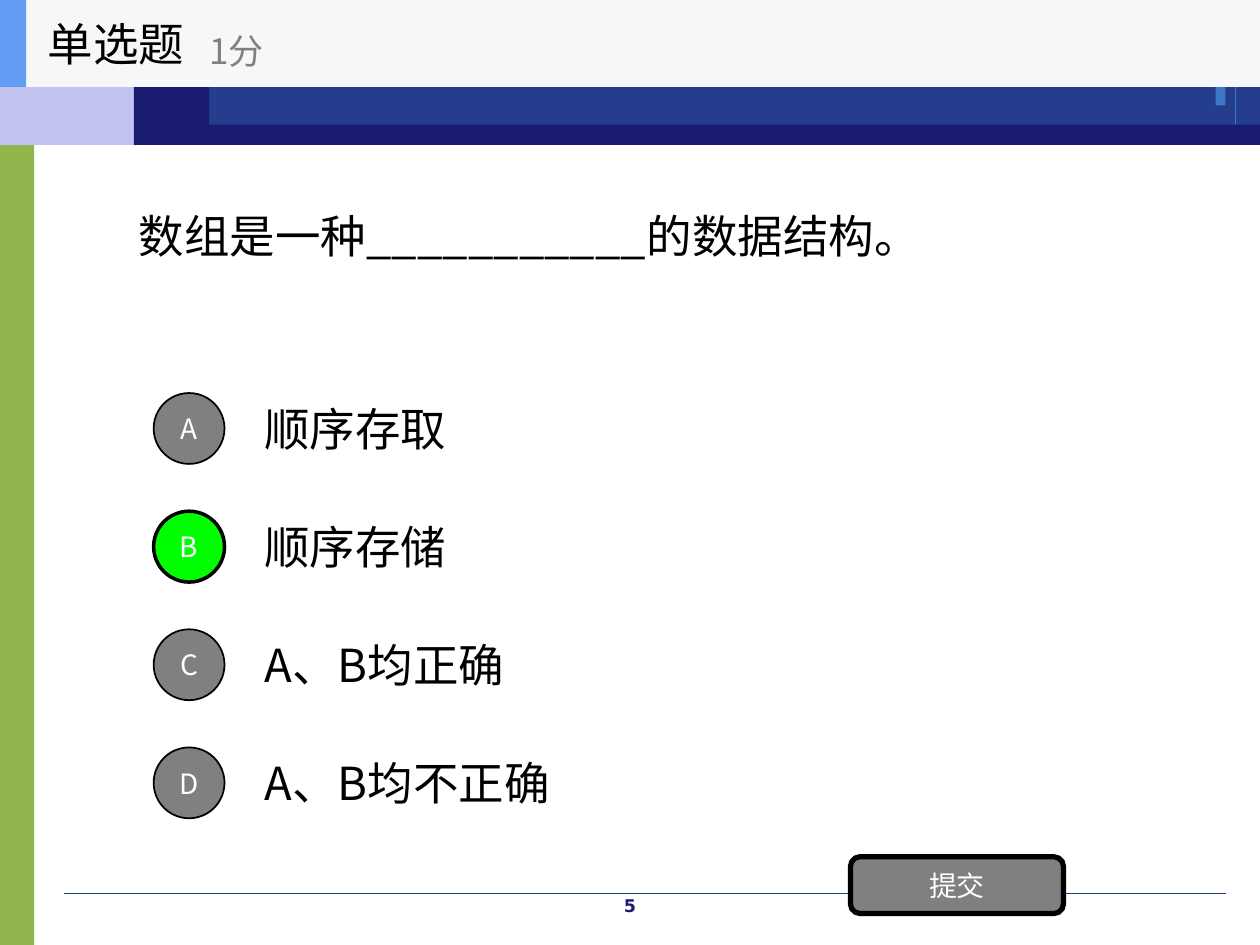
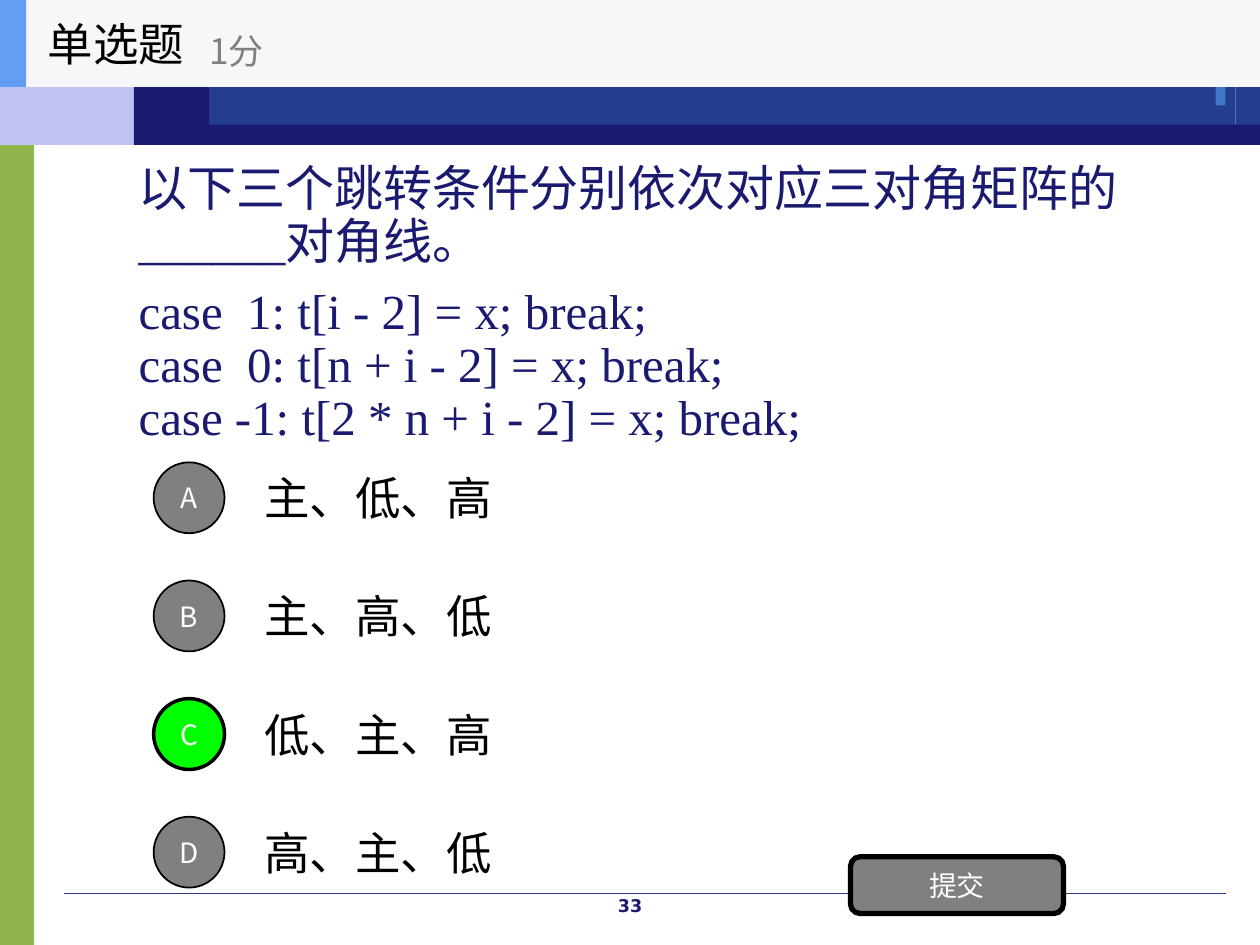
from dataclasses import dataclass
from typing import Any, Optional

import lxml.etree
import pptx
import pptx.dml.color
import pptx.enum.shapes
import pptx.enum.text
import pptx.oxml.ns
import pptx.util

Pt = pptx.util.Pt
Kind = pptx.enum.shapes.MSO_SHAPE
Align = pptx.enum.text.PP_ALIGN
qn = pptx.oxml.ns.qn


@dataclass(frozen=True)
class Theme:
    black: str = "000000"
    white: str = "FFFFFF"
    gray: str = "808080"
    right: str = "00FF00"
    green: str = "90B54D"
    lilac: str = "C3C3F1"
    blue: str = "243D8C"
    sky: str = "3E78C6"
    navy: str = "1A1A70"
    pale: str = "F6F7F8"
    bright: str = "639EF4"
    sans: str = "Noto Sans CJK SC"
    serif: str = "Times New Roman"
    page: str = "DejaVu Sans"
    code: float = 28
    main: float = 26
    score: float = 20
    label: float = 16
    foot: float = 10
    hair: float = 0.25


THEME = Theme()


@dataclass(frozen=True)
class Box:
    left: float
    top: float
    width: float
    height: float

    def place(self) -> tuple:
        return Pt(self.left), Pt(self.top), Pt(self.width), Pt(self.height)


@dataclass(frozen=True)
class Band:
    box: Box
    fill: Optional[str] = None
    line: Optional[str] = None
    weight: float = THEME.hair
    kind: Any = Kind.RECTANGLE


@dataclass(frozen=True)
class Style:
    size: float
    color: str
    font: str = THEME.sans
    bold: bool = False
    align: Any = Align.LEFT
    wrap: bool = True
    top: bool = False
    leading: float = 1.0


@dataclass(frozen=True)
class Quiz:
    page: int
    lines: tuple[str, ...]
    style: Style
    top: float
    first: float
    picks: tuple[str, ...]
    answer: str


MAIN = Style(THEME.main, THEME.black)
CODE = Style(THEME.code, THEME.navy, THEME.serif, leading=0.9)
SCORE = Style(THEME.score, THEME.gray)
LABEL = Style(THEME.label, THEME.white, align=Align.CENTER, wrap=False)
FOOT = Style(THEME.foot, THEME.navy, THEME.page, bold=True, align=Align.CENTER, top=True)

STEP = 67.5
CODE_GAP = 10

# Drawn from back to front
BANDS = (
    Band(Box(0, 77, 19.5, 463), THEME.green),
    Band(Box(0, 0, 110, 82.8), THEME.lilac),
    Band(Box(110, 0, 610, 82.8), THEME.blue),
    Band(Box(694.6, 0, 5.6, 60.3), THEME.sky),
    Band(Box(85.7, 10.8, 620.4, 61), line=THEME.sky),
)
EDGES = (
    Band(Box(93.6, 71.3, 626.4, 11.5), THEME.navy),
    Band(Box(76.5, 0, 43, 82.8), THEME.navy),
)
HEADER = (
    Band(Box(0, 0, 720, 49.7), THEME.pale),
    Band(Box(0, 0, 15, 49.7), THEME.bright),
)

QUIZZES = (
    Quiz(5, ("数组是一种___________的数据结构。",), MAIN, 50, 219.6,
         ("顺序存取", "顺序存储", "A、B均正确", "A、B均不正确"), "B"),
    Quiz(33, ("以下三个跳转条件分别依次对应三对角矩阵的______对角线。",
              "case  1: t[i - 2] = x; break;",
              "case  0: t[n + i - 2] = x; break;",
              "case -1: t[2 * n + i - 2] = x; break;"), CODE, 90, 259.2,
         ("主、低、高", "主、高、低", "低、主、高", "高、主、低"), "C"),
)


def rgb(code: str) -> Any:
    return pptx.dml.color.RGBColor.from_string(code)


def write(shape: Any, text: str, style: Style) -> None:
    frame = shape.text_frame
    frame.text = text
    frame.word_wrap = style.wrap
    frame.auto_size = pptx.enum.text.MSO_AUTO_SIZE.NONE
    anchor = pptx.enum.text.MSO_ANCHOR
    frame.vertical_anchor = anchor.TOP if style.top else anchor.MIDDLE
    for para in frame.paragraphs:
        para.alignment = style.align
        para.line_spacing = style.leading
        para.space_before = Pt(0)
        for run in para.runs:
            font = run.font
            font.name, font.size, font.bold = style.font, Pt(style.size), style.bold
            font.color.rgb = rgb(style.color)
    for props in shape.element.iter(qn("a:rPr")):
        lxml.etree.SubElement(props, qn("a:ea")).set("typeface", THEME.sans)


def label(slide: Any, box: Box, text: str, style: Style) -> None:
    write(slide.shapes.add_textbox(*box.place()), text, style)


def draw(slide: Any, band: Band) -> Any:
    shape = slide.shapes.add_shape(band.kind, *band.box.place())
    shape.shadow.inherit = False
    if band.fill:
        shape.fill.solid()
        shape.fill.fore_color.rgb = rgb(band.fill)
    else:
        shape.fill.background()
    if band.line:
        shape.line.color.rgb = rgb(band.line)
        shape.line.width = Pt(band.weight)
    else:
        shape.line.fill.background()
    return shape


def settle(holder: Any, box: Box) -> None:
    """Move a placeholder to its box and in front of what is drawn so far."""
    holder.left, holder.top, holder.width, holder.height = box.place()
    holder.element.getparent().append(holder.element)


def frame(slide: Any, page: int) -> None:
    """Draw the bands, the foot rule and the page number."""
    for band in BANDS:
        draw(slide, band)
    rule = slide.shapes.add_connector(
        pptx.enum.shapes.MSO_CONNECTOR.STRAIGHT, Pt(36.7), Pt(510.5), Pt(700.6), Pt(510.5))
    rule.line.color.rgb = rgb(THEME.blue)
    rule.line.width = Pt(THEME.hair)
    lxml.etree.SubElement(rule.element.spPr, qn("a:effectLst"))
    for band in EDGES:
        draw(slide, band)
    label(slide, Box(276, 507.6, 168, 18), str(page), FOOT)


def ask(slide: Any, quiz: Quiz) -> None:
    body = slide.placeholders[1]
    settle(body, Box(72, quiz.top, 576, 168.5))
    write(body, "\n".join(quiz.lines), quiz.style)
    for para in body.text_frame.paragraphs[1:2]:
        para.space_before = Pt(CODE_GAP)
    for props in body.element.iter(qn("a:pPr")):
        props.set("marL", "0")
        props.set("indent", "0")
        lxml.etree.SubElement(props, qn("a:buNone"))


def offer(slide: Any, quiz: Quiz) -> None:
    """Draw the choices, with the right one marked."""
    for row, (key, text) in enumerate(zip("ABCD", quiz.picks)):
        top = quiz.first + row * STEP
        label(slide, Box(144, top, 504, 50.4), text, MAIN)
        good = key == quiz.answer
        disc = Band(Box(87.8, top + 5, 40.5, 40.5), THEME.right if good else THEME.gray,
                    THEME.black, 2 if good else 1, Kind.OVAL)
        write(draw(slide, disc), key, LABEL)


def head(slide: Any) -> None:
    for band in HEADER:
        draw(slide, band)
    title = slide.shapes.title
    settle(title, Box(20.2, 0, 150, 49.7))
    write(title, "单选题", MAIN)
    label(slide, Box(112.5, 8.8, 180, 40.5), "1分", SCORE)


def build(deck: Any, quiz: Quiz) -> None:
    slide = deck.slides.add_slide(deck.slide_layouts[1])
    frame(slide, quiz.page)
    ask(slide, quiz)
    offer(slide, quiz)
    button = Band(Box(486, 489.6, 121.7, 32.4), THEME.gray, THEME.black, 3,
                  Kind.ROUNDED_RECTANGLE)
    write(draw(slide, button), "提交", LABEL)
    head(slide)


def main() -> None:
    deck = pptx.Presentation()
    deck.slide_width, deck.slide_height = Pt(720), Pt(540)
    for quiz in QUIZZES:
        build(deck, quiz)
    deck.save("out.pptx")


if __name__ == "__main__":
    main()
